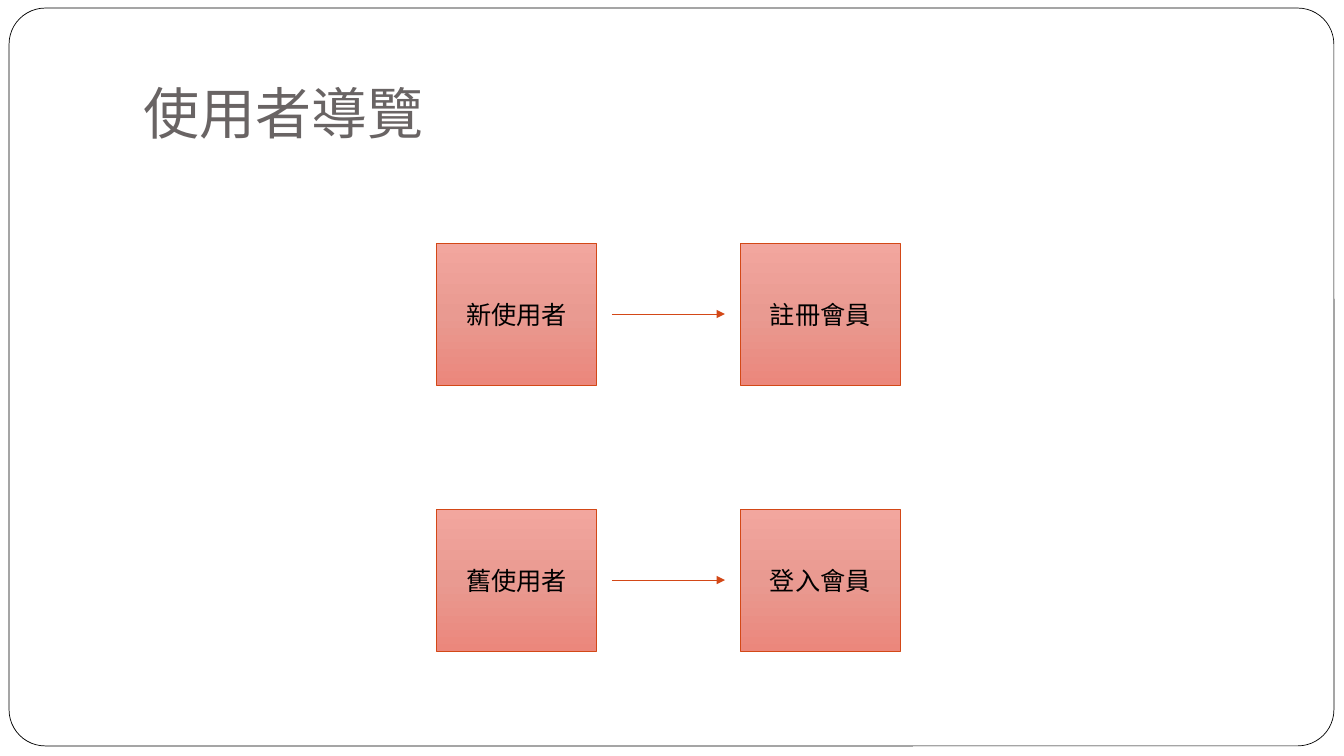
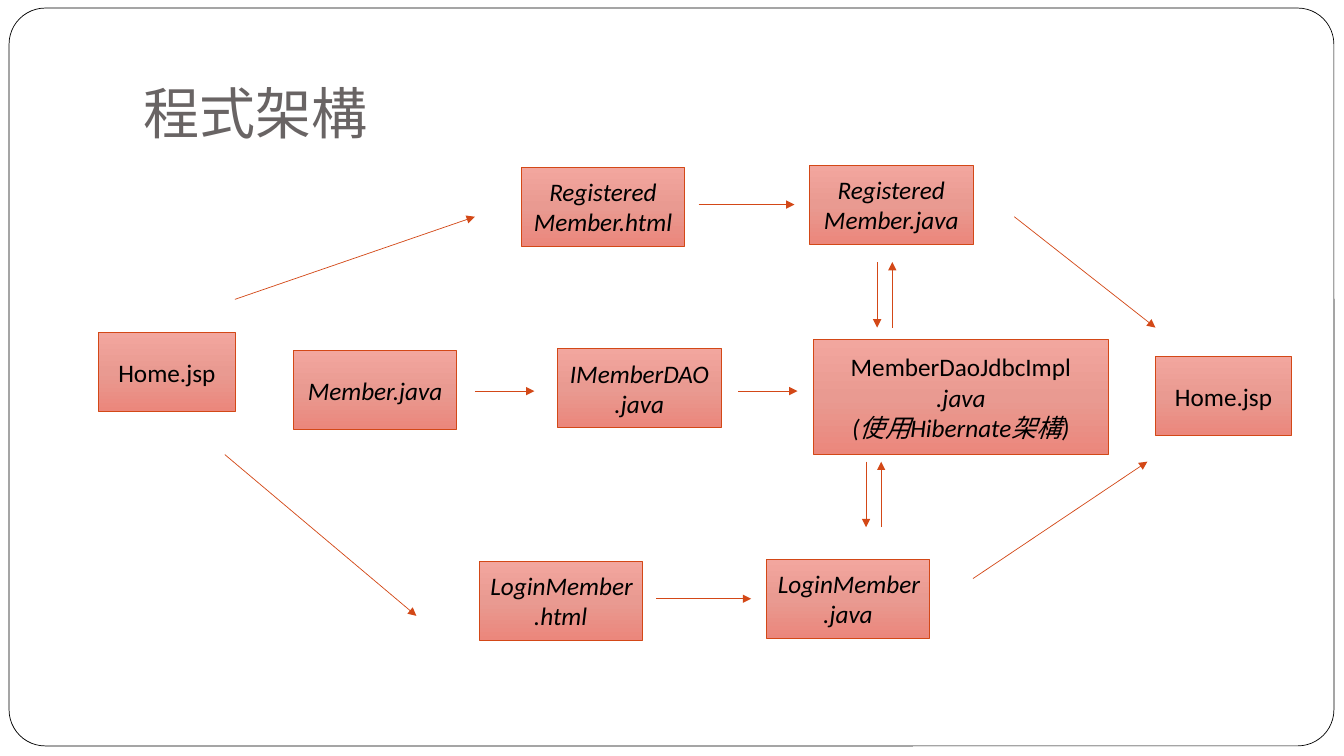
from copy import deepcopy
from dataclasses import dataclass

from lxml.etree import SubElement
from pptx import Presentation
from pptx.dml.color import RGBColor
from pptx.enum.shapes import MSO_CONNECTOR as Connector, MSO_SHAPE as Shape
from pptx.enum.text import MSO_ANCHOR as Anchor, PP_ALIGN as Align
from pptx.oxml.ns import qn
from pptx.util import Inches, Pt


@dataclass(frozen=True)
class Theme:
    paper: str = "FFFFFF"
    ink: str = "000000"
    title: str = "696464"
    accent: str = "D34817"
    gradient: tuple = ((0, "F2A69E"), (0.5, "E99A91"), (1, "EB877C"))
    latin: str = "Calibri"
    asian: str = "Noto Sans CJK TC"
    title_size: int = 40
    body_size: int = 18
    line_width: float = 0.5


@dataclass(frozen=True)
class Box:
    left: float
    top: float
    width: float
    height: float

    def inner(self, left, top, width, height):
        return Box(self.left + left, self.top + top, width, height)

    def point(self, x, y):
        return Inches(self.left + x), Inches(self.top + y)

    def lengths(self):
        return [Inches(n) for n in (self.left, self.top, self.width, self.height)]


THEME = Theme()
FILE_WIDTH, FILE_HEIGHT = 1.62, 0.78
HOME_WIDTH = 1.35


def rgb(value):
    return RGBColor.from_string(value)


def write(frame, text, size=THEME.body_size, color=THEME.ink, font=THEME.latin,
          align=Align.CENTER, anchor=Anchor.MIDDLE, italic=(), bottom=0.05):
    frame.word_wrap = True
    frame.vertical_anchor = anchor
    frame.margin_bottom = Inches(bottom)
    for index, words in enumerate(text.split("\n")):
        para = frame.paragraphs[0] if index == 0 else frame.add_paragraph()
        para.alignment = align
        span = para.add_run()
        span.text = words
        span.font.size = Pt(size)
        span.font.name = font
        span.font.color.rgb = rgb(color)
        span.font.italic = index in italic
        properties = span.font._element
        SubElement(properties, qn("a:ea")).set("typeface", THEME.asian)


def outline(shape, color):
    shape.line.color.rgb = rgb(color)
    shape.line.width = Pt(THEME.line_width)


def fill_gradient(shape):
    shape.fill.gradient()
    shape.fill.gradient_angle = 270
    stop_list = shape._element.spPr.find(qn("a:gradFill")).find(qn("a:gsLst"))
    while len(stop_list) < len(THEME.gradient):
        stop_list.append(deepcopy(stop_list[0]))
    for stop, (position, color) in zip(shape.fill.gradient_stops, THEME.gradient):
        stop.position = position
        stop.color.rgb = rgb(color)


def add_node(page, box, text, italic=()):
    shape = page.shapes.add_shape(Shape.RECTANGLE, *box.lengths())
    shape.shadow.inherit = False
    fill_gradient(shape)
    outline(shape, THEME.accent)
    write(shape.text_frame, text, italic=italic)


def add_file(page, area, left, top, text):
    add_node(page, area.inner(left, top, FILE_WIDTH, FILE_HEIGHT), text, italic=(0, 1))


def add_arrow(page, area, start, end):
    arrow = page.shapes.add_connector(
        Connector.STRAIGHT, *area.point(*start), *area.point(*end))
    outline(arrow, THEME.accent)
    SubElement(arrow.line._get_or_add_ln(), qn("a:tailEnd")).set("type", "triangle")
    SubElement(arrow._element.spPr, qn("a:effectLst"))


def add_page(deck, title):
    page = deck.slides.add_slide(deck.slide_layouts[6])
    page.background.fill.solid()
    page.background.fill.fore_color.rgb = rgb(THEME.paper)
    border = page.shapes.add_shape(
        Shape.ROUNDED_RECTANGLE, *Box(0.09, 0.08, 13.14, 7.32).lengths())
    border.adjustments[0] = 0.049
    border.shadow.inherit = False
    border.fill.solid()
    border.fill.fore_color.rgb = rgb(THEME.paper)
    outline(border, THEME.ink)
    heading = page.shapes.add_textbox(*Box(1.33, 0.3, 11.33, 1.25).lengths())
    write(heading.text_frame, title, size=THEME.title_size, color=THEME.title,
          font=THEME.asian, align=Align.LEFT, anchor=Anchor.BOTTOM, bottom=0.1)
    return page


def add_user_step(page, area, user, action):
    width, gap = 1.59, 0.15
    target = area.width - width
    middle = area.height / 2
    add_node(page, area.inner(0, 0, width, area.height), user)
    add_node(page, area.inner(target, 0, width, area.height), action)
    add_arrow(page, area, (width + gap, middle), (target - gap, middle))


def add_user_guide(page, area):
    height = 1.41
    steps = (("新使用者", "註冊會員"), ("舊使用者", "登入會員"))
    for index, (user, action) in enumerate(steps):
        top = index * (area.height - height)
        add_user_step(page, area.inner(0, top, area.width, height), user, action)


def add_page_lane(page, area, name):
    target = area.width - FILE_WIDTH
    add_file(page, area, 0, 0.02, f"{name}.html")
    add_file(page, area, target, 0, f"{name}.java")
    add_arrow(page, area, (FILE_WIDTH + 0.14, 0.39), (target - 0.15, 0.39))


def add_data_lane(page, area):
    add_file(page, area, 0, 0.11, "Member.java")
    add_file(page, area, 2.62, 0.09, "IMemberDAO.java")
    add_node(page, area.inner(5.16, 0, 2.92, area.height),
             "MemberDaoJdbcImpl\n.java\n(使用Hibernate架構)", italic=(1, 2))
    for start in (1.8, 4.41):
        add_arrow(page, area, (start, 0.51), (start + 0.59, 0.51))


def add_exchange(page, area):
    add_arrow(page, area, (0, 0), (0, area.height))
    add_arrow(page, area, (area.width, area.height), (area.width, 0))


def add_architecture(page, area):
    add_node(page, area.inner(0, 1.66, HOME_WIDTH, FILE_HEIGHT), "Home.jsp")
    add_node(page, area.inner(area.width - HOME_WIDTH, 1.9, HOME_WIDTH, FILE_HEIGHT),
             "Home.jsp")
    add_page_lane(page, area.inner(4.19, 0, 4.48, 0.8), "Registered\nMember")
    add_data_lane(page, area.inner(1.93, 1.73, 8.08, 1.14))
    add_page_lane(page, area.inner(3.77, 3.91, 4.47, 0.8), "LoginMember")
    for left, top in ((7.72, 0.96), (7.61, 2.94)):
        add_exchange(page, area.inner(left, top, 0.15, 0.65))
    links = (
        ((1.35, 1.33), (3.73, 0.51)),
        ((1.25, 2.87), (3.15, 4.47)),
        ((9.08, 0.51), (10.48, 1.61)),
        ((8.67, 4.1), (10.4, 2.94)),
    )
    for start, end in links:
        add_arrow(page, area, start, end)


def main():
    deck = Presentation()
    deck.slide_width, deck.slide_height = Inches(13.33), Inches(7.5)
    add_user_guide(add_page(deck, "使用者導覽"), Box(4.33, 2.41, 4.6, 4.05))
    add_architecture(add_page(deck, "程式架構"), Box(0.98, 1.64, 11.83, 4.71))
    deck.save("out.pptx")


if __name__ == "__main__":
    main()
